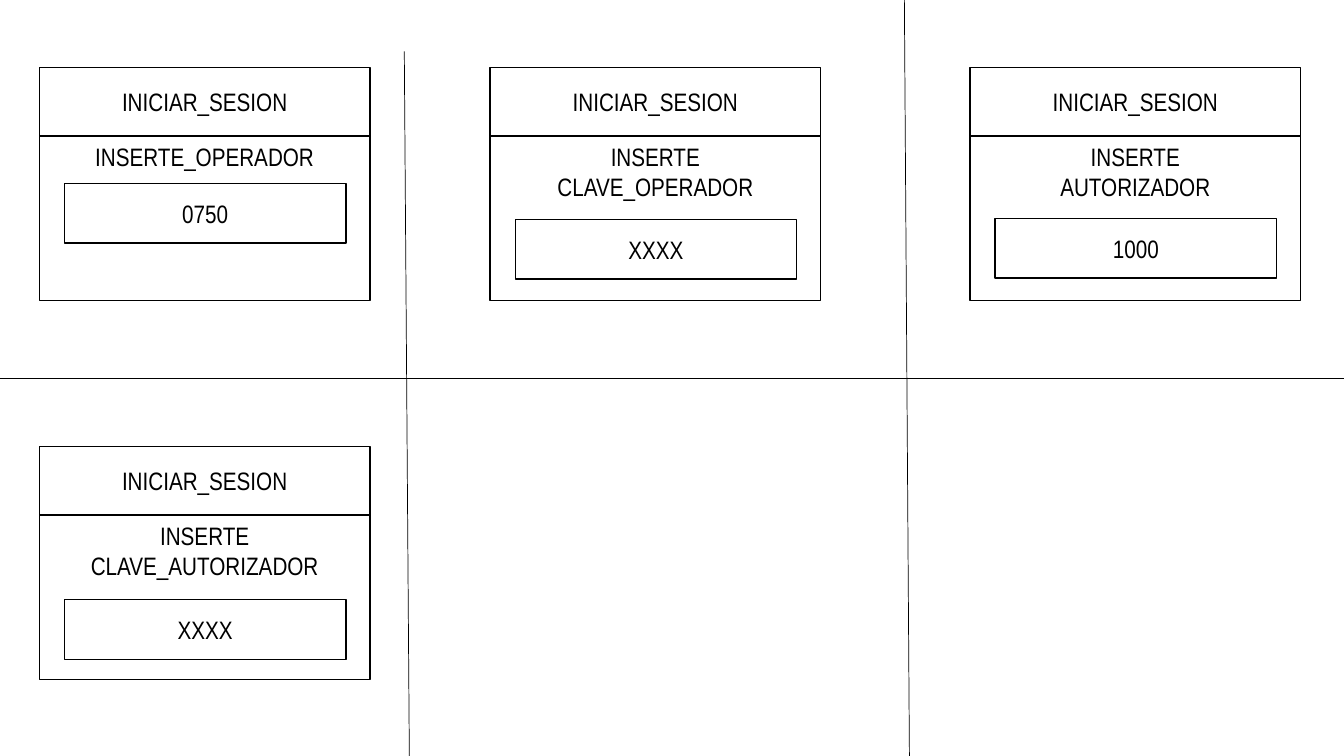
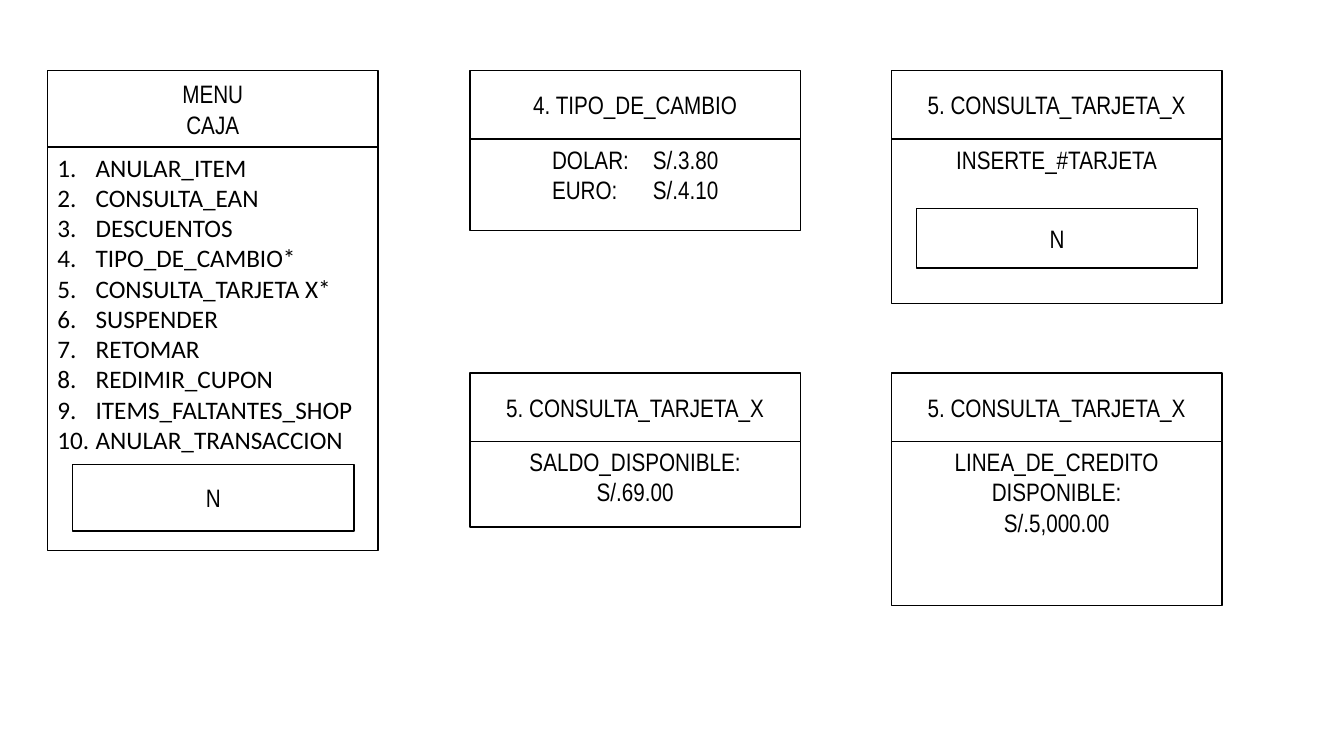
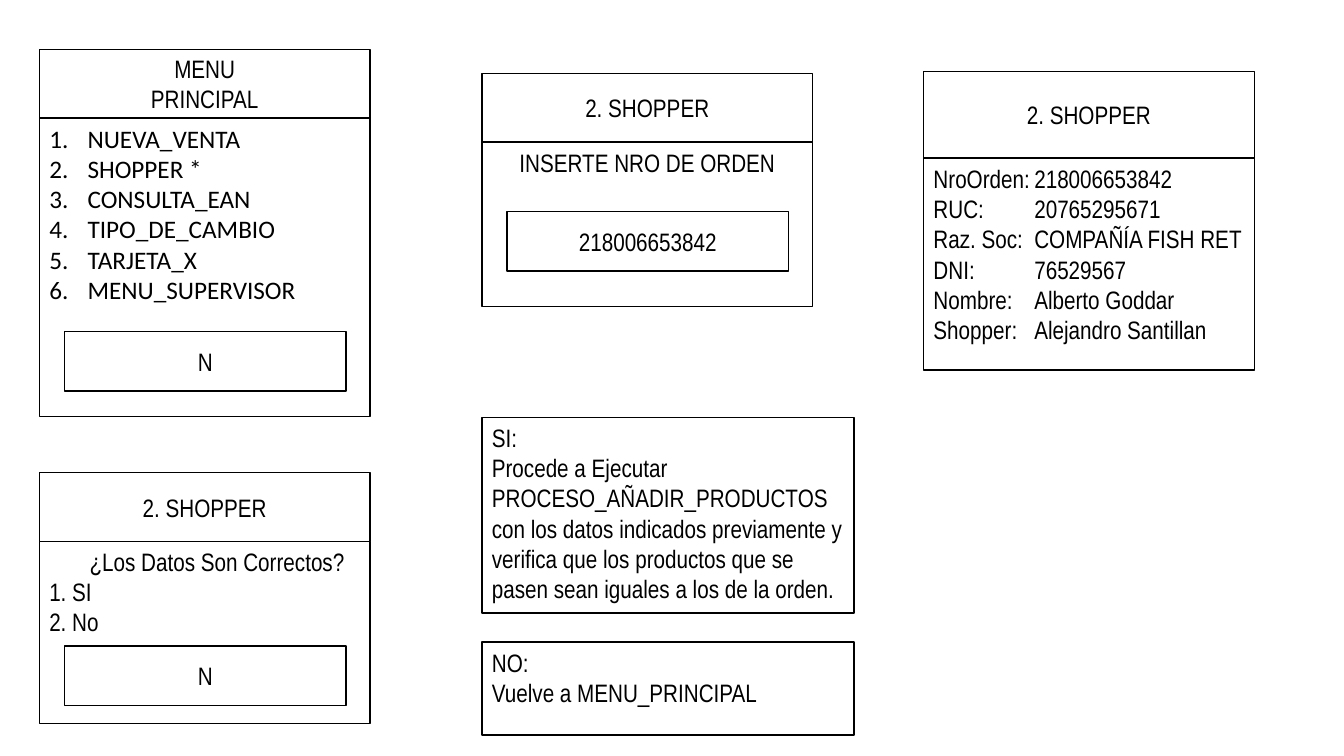
"""Build three slides of terminal screens: sign-in, cashier menu and shopper flow."""
from dataclasses import dataclass

from lxml import etree
from pptx import Presentation
from pptx.dml.color import RGBColor
from pptx.enum.shapes import MSO_CONNECTOR, MSO_SHAPE
from pptx.enum.text import MSO_ANCHOR, PP_ALIGN
from pptx.oxml.ns import qn
from pptx.util import Pt

PX = 9144
RECT = MSO_SHAPE.RECTANGLE
LINE = MSO_CONNECTOR.STRAIGHT
TOP, MID = MSO_ANCHOR.TOP, MSO_ANCHOR.MIDDLE
LEFT, MIDDLE = PP_ALIGN.LEFT, PP_ALIGN.CENTER


@dataclass(frozen=True)
class Theme:
    ink: RGBColor = RGBColor(0, 0, 0)
    paper: RGBColor = RGBColor(255, 255, 255)
    font: str = "Arial Narrow"
    menu: str = "Calibri"
    size: Pt = Pt(18)
    edge: Pt = Pt(1)
    rule: Pt = Pt(0.5)


theme = Theme()
WIDE, INSET, FIELD, TAB = 328, 25, 279, 100


def box(slide, x, y, w, h, text, anchor=MID, kind="center"):
    rect = slide.shapes.add_shape(RECT, x * PX, y * PX, w * PX, h * PX)
    rect.shadow.inherit = False
    rect.fill.solid()
    rect.fill.fore_color.rgb = theme.paper
    rect.line.color.rgb = theme.ink
    rect.line.width = theme.edge
    frame = rect.text_frame
    frame.word_wrap = True
    frame.vertical_anchor = anchor
    frame.text = text
    for row, para in enumerate(frame.paragraphs):
        para.alignment = MIDDLE if kind == "center" else LEFT
        props = para._p.get_or_add_pPr()
        if kind == "list":
            props.set("marL", str(38 * PX))
            props.set("indent", str(-38 * PX))
            etree.SubElement(props, qn("a:buFont"), typeface="+mj-lt")
            etree.SubElement(props, qn("a:buAutoNum"), type="arabicPeriod")
        if kind == "ask" and row == 0:
            props.set("marL", str(40 * PX))
        if "\t" in para.text:
            tabs = etree.SubElement(props, qn("a:tabLst"))
            etree.SubElement(tabs, qn("a:tab"), pos=str(TAB * PX), algn="l")
        for run in para.runs:
            run.font.name = theme.menu if kind == "list" else theme.font
            run.font.size = theme.size
            run.font.color.rgb = theme.ink


login = "INICIAR_SESION"
card = "5. CONSULTA_TARJETA_X"
shop = "2. SHOPPER"
cash = """ANULAR_ITEM
CONSULTA_EAN
DESCUENTOS
TIPO_DE_CAMBIO*
CONSULTA_TARJETA X*
SUSPENDER
RETOMAR
REDIMIR_CUPON
ITEMS_FALTANTES_SHOP
ANULAR_TRANSACCION"""
main = """NUEVA_VENTA
SHOPPER *
CONSULTA_EAN
TIPO_DE_CAMBIO
TARJETA_X
MENU_SUPERVISOR"""
order = """NroOrden:\t218006653842
RUC:\t20765295671
Raz. Soc:\tCOMPAÑÍA FISH RET
DNI:\t76529567
Nombre:\tAlberto Goddar
Shopper:\tAlejandro Santillan"""
yes = """SI:
Procede a Ejecutar PROCESO_AÑADIR_PRODUCTOS
con los datos indicados previamente y verifica que los productos que se pasen sean iguales a los de la orden."""

decks = [
    [
        (39, 67, 68, login, 163, "INSERTE_OPERADOR", "center", ("0750", 182, 59)),
        (486, 67, 68, login, 163, "INSERTE\nCLAVE_OPERADOR", "center", ("XXXX", 218, 59)),
        (962, 67, 68, login, 163, "INSERTE\nAUTORIZADOR", "center", ("1000", 217, 59)),
        (39, 443, 68, login, 163, "INSERTE\nCLAVE_AUTORIZADOR", "center", ("XXXX", 595, 59)),
    ],
    [
        (884, 70, 68, card, 163, "INSERTE_#TARJETA", "center", ("N", 207, 59)),
        (884, 370, 68, card, 163, "LINEA_DE_CREDITO\nDISPONIBLE:\nS/.5,000.00", "center", None),
        (466, 370, 68, card, 85, "SALDO_DISPONIBLE:\nS/.69.00", "center", None),
        (466, 70, 68, "4. TIPO_DE_CAMBIO", 91, "DOLAR:\tS/.3.80\nEURO:\tS/.4.10", "center", None),
        (47, 70, 76, "MENU\nCAJA", 400, cash, "list", ("N", 461, 66)),
    ],
    [
        (39, 49, 68, "MENU\nPRINCIPAL", 296, main, "list", ("N", 329, 59)),
        (478, 73, 68, shop, 163, "INSERTE NRO DE ORDEN", "center", ("218006653842", 210, 59)),
        (916, 71, 86, shop, 210, order, "left", None),
        (39, 469, 68, shop, 181, "¿Los Datos Son Correctos?\n1. SI\n2. No", "ask", ("N", 641, 59)),
    ],
]
rules = [(401, 51, 406, 750), (897, 0, 902, 750), (0, 375, 1333, 375)]
notes = [(414, 194, yes), (637, 92, "NO:\nVuelve a MENU_PRINCIPAL")]

prs = Presentation()
prs.slide_width, prs.slide_height = 1333 * PX, 750 * PX
slides = [prs.slides.add_slide(prs.slide_layouts[6]) for deck in decks]

for ends in rules:
    rule = slides[0].shapes.add_connector(LINE, *(end * PX for end in ends))
    rule.line.color.rgb = theme.ink
    rule.line.width = theme.rule
    etree.SubElement(rule._element.spPr, qn("a:effectLst"))

for slide, deck in zip(slides, decks):
    for x, y, top, head, high, body, kind, field in deck:
        box(slide, x, y + top, WIDE, high, body, TOP, kind)
        box(slide, x, y, WIDE, top, head)
        if field:
            value, down, tall = field
            box(slide, x + INSET, down, FIELD, tall, value)

for y, high, text in notes:
    box(slides[2], 478, y, 369, high, text, TOP, "left")

prs.save("out.pptx")
